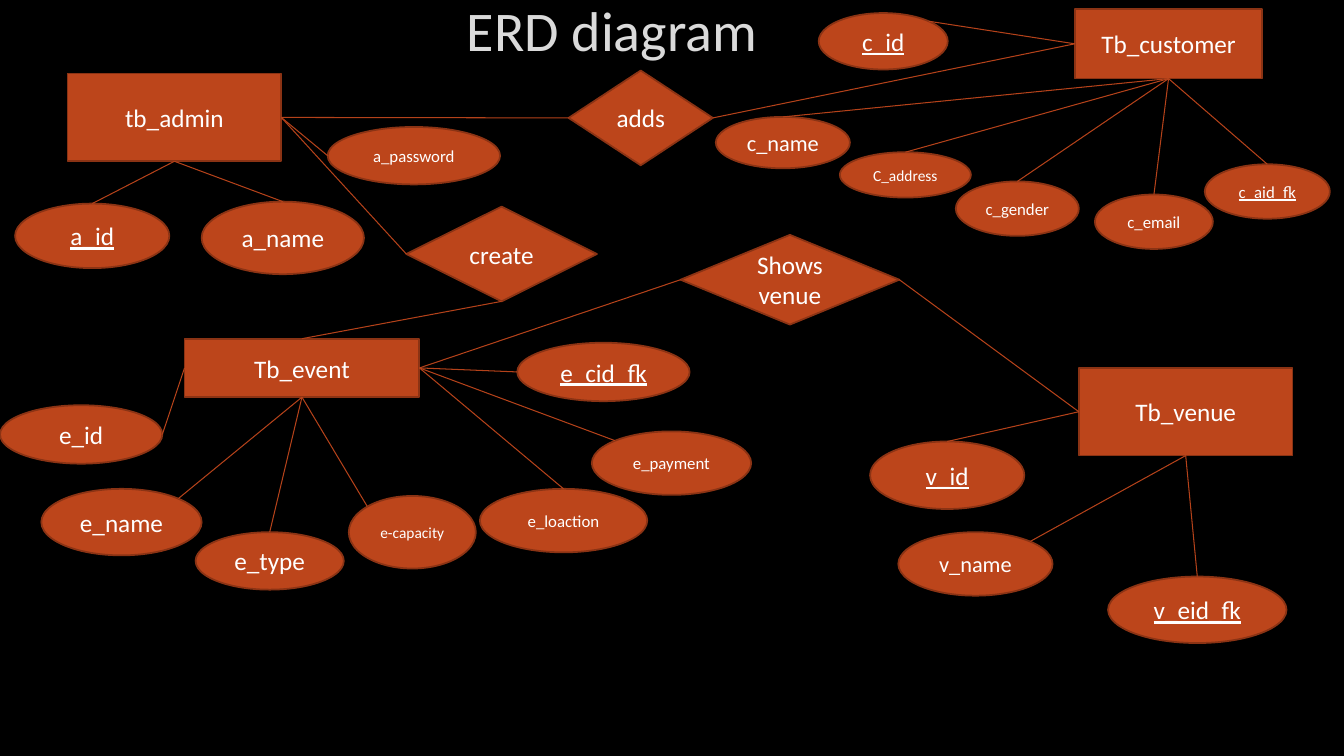
import pptx
import pptx.dml.color
import pptx.enum.shapes
import pptx.enum.text
import pptx.oxml
import pptx.oxml.ns
import pptx.util
from pptx.util import Inches

COLORS = {"background": "000000", "title": "DADADA", "title_edge": "404040",
          "fill": "BC451B", "edge": "8B3314", "link": "B4421A", "text": "FFFFFF"}
FONT = "Calibri"
SHAPES = pptx.enum.shapes.MSO_SHAPE

# text: (left, top, width, height)
ENTITIES = {
    "tb_admin": (0.67, 0.73, 2.12, 0.87),
    "Tb_event": (1.83, 3.36, 2.33, 0.58),
    "Tb_customer": (10.66, 0.09, 1.86, 0.69),
    "Tb_venue": (10.7, 3.65, 2.12, 0.87),
}
RELATIONS = {
    "adds": (5.64, 0.7, 1.43, 0.94),
    "create": (4.03, 2.05, 1.89, 0.94),
    "Shows venue": (6.75, 2.33, 2.17, 0.89),
}
# text: (box, size, underlined, own side, entity, entity side)
ATTRIBUTES = {
    "a_id": ((0.15, 2.02, 1.53, 0.64), 18, True, "top", "tb_admin", "bottom"),
    "a_name": ((2, 2, 1.61, 0.72), 18, False, "top", "tb_admin", "bottom"),
    "a_password": ((3.25, 1.26, 1.71, 0.57), 12, False, "left", "tb_admin", "right"),
    "e_id": ((0, 4.02, 1.61, 0.58), 18, False, "right", "Tb_event", "left"),
    "e_type": ((1.94, 5.28, 1.47, 0.57), 18, False, "top", "Tb_event", "bottom"),
    "e_payment": ((5.87, 4.28, 1.58, 0.63), 12, False, "top left", "Tb_event", "right"),
    "e_name": ((0.41, 4.85, 1.59, 0.66), 18, False, "top right", "Tb_event", "bottom"),
    "e_cid_fk": ((5.13, 3.4, 1.71, 0.58), 18, True, "left", "Tb_event", "right"),
    "e_loaction": ((4.76, 4.85, 1.66, 0.63), 12, False, "top", "Tb_event", "right"),
    "c_name": ((7.1, 1.16, 1.33, 0.51), 16, False, "top", "Tb_customer", "bottom"),
    "C_address": ((8.33, 1.51, 1.3, 0.45), 11, False, "top", "Tb_customer", "bottom"),
    "c_aid_fk": ((11.95, 1.63, 1.24, 0.54), 12, True, "top", "Tb_customer", "bottom"),
    "c_email": ((10.86, 1.93, 1.17, 0.54), 12, False, "top", "Tb_customer", "bottom"),
    "c_id": ((8.12, 0.13, 1.28, 0.56), 18, True, "top right", "Tb_customer", "left"),
    "c_gender": ((9.48, 1.8, 1.22, 0.54), 12, False, "top", "Tb_customer", "bottom"),
    "e-capacity": ((3.46, 4.92, 1.26, 0.72), 11, False, "top left", "Tb_event", "bottom"),
    "v_name": ((8.91, 5.28, 1.53, 0.63), 16, False, "top right", "Tb_venue", "bottom"),
    "v_eid_fk": ((10.99, 5.72, 1.77, 0.66), 18, True, "top", "Tb_venue", "bottom"),
    "v_id": ((8.63, 4.38, 1.53, 0.67), 18, True, "top", "Tb_venue", "left"),
}
# (relation, side, entity, side)
RELATION_LINKS = [
    ("adds", "left", "tb_admin", "right"),
    ("adds", "right", "Tb_customer", "left"),
    ("create", "left", "tb_admin", "right"),
    ("create", "bottom", "Tb_event", "top"),
    ("Shows venue", "right", "Tb_venue", "left"),
    ("Shows venue", "left", "Tb_event", "right"),
]
# Offsets from the centre, in half widths and half heights
SIDES = {"top": (0, -1), "bottom": (0, 1), "left": (-1, 0), "right": (1, 0),
         "top left": (-0.71, -0.71), "top right": (0.71, -0.71)}


def rgb(name):
    return pptx.dml.color.RGBColor.from_string(COLORS[name])


def write(sp, text, size, color="text", underline=None):
    """Put one centred line of text in the shape and return its run."""
    tf = sp.text_frame
    tf.word_wrap = True
    tf.vertical_anchor = pptx.enum.text.MSO_ANCHOR.MIDDLE
    p = tf.paragraphs[0]
    p.alignment = pptx.enum.text.PP_ALIGN.CENTER
    r = p.add_run()
    r.text = text
    formats = {"name": FONT, "size": pptx.util.Pt(size), "underline": underline}
    for key, value in formats.items():
        setattr(r.font, key, value)
    r.font.color.rgb = rgb(color)
    return r


def add_title(s, text):
    sp = s.shapes.add_textbox(*map(Inches, (0.41, -0.24, 11.32, 1.06)))
    r = write(sp, text, 40, "title")
    edge = pptx.oxml.parse_xml(
        f'<a:ln {pptx.oxml.ns.nsdecls("a")} w="9525"><a:solidFill>'
        f'<a:srgbClr val="{COLORS["title_edge"]}"><a:alpha val="10000"/></a:srgbClr>'
        '</a:solidFill></a:ln>')
    r.font._element.insert(0, edge)


def add_node(s, kind, box, text, size=18, underline=None):
    sp = s.shapes.add_shape(kind, *map(Inches, box))
    sp.shadow.inherit = False
    sp.fill.solid()
    sp.fill.fore_color.rgb = rgb("fill")
    sp.line.color.rgb = rgb("edge")
    sp.line.width = pptx.util.Pt(1.25)
    write(sp, text, size, underline=underline)
    return sp


def anchor(sp, side):
    """Return the point on the outline of a node at the named side."""
    dx, dy = SIDES[side]
    return (int(sp.left + sp.width * (1 + dx) / 2),
            int(sp.top + sp.height * (1 + dy) / 2))


def add_link(s, start, start_side, end, end_side):
    line = s.shapes.add_connector(pptx.enum.shapes.MSO_CONNECTOR.STRAIGHT,
                                  *anchor(start, start_side), *anchor(end, end_side))
    line.line.color.rgb = rgb("link")
    line.line.width = pptx.util.Pt(0.75)
    line._element.spPr.append(
        pptx.oxml.parse_xml(f'<a:effectLst {pptx.oxml.ns.nsdecls("a")}/>'))


def main():
    prs = pptx.Presentation()
    prs.slide_width, prs.slide_height = Inches(13.33), Inches(7.5)
    s = prs.slides.add_slide(prs.slide_layouts[6])
    s.background.fill.solid()
    s.background.fill.fore_color.rgb = rgb("background")

    add_title(s, "ERD diagram")
    nodes = {}
    for kind, group in ((SHAPES.RECTANGLE, ENTITIES), (SHAPES.DIAMOND, RELATIONS)):
        for text, box in group.items():
            nodes[text] = add_node(s, kind, box, text)
    for text, (box, size, underline, side, entity, entity_side) in ATTRIBUTES.items():
        sp = add_node(s, SHAPES.OVAL, box, text, size, underline or None)
        add_link(s, sp, side, nodes[entity], entity_side)
    for relation, side, entity, entity_side in RELATION_LINKS:
        add_link(s, nodes[relation], side, nodes[entity], entity_side)
    prs.save("out.pptx")


if __name__ == "__main__":
    main()
